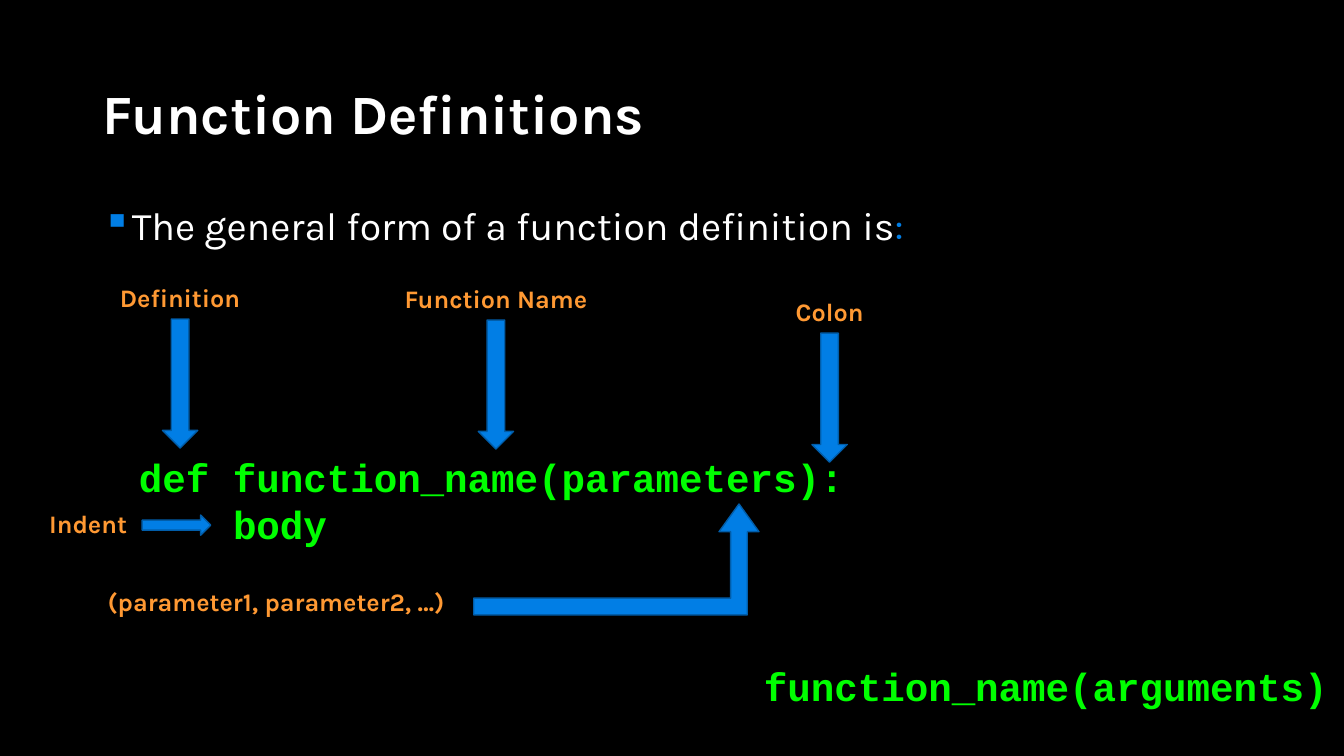
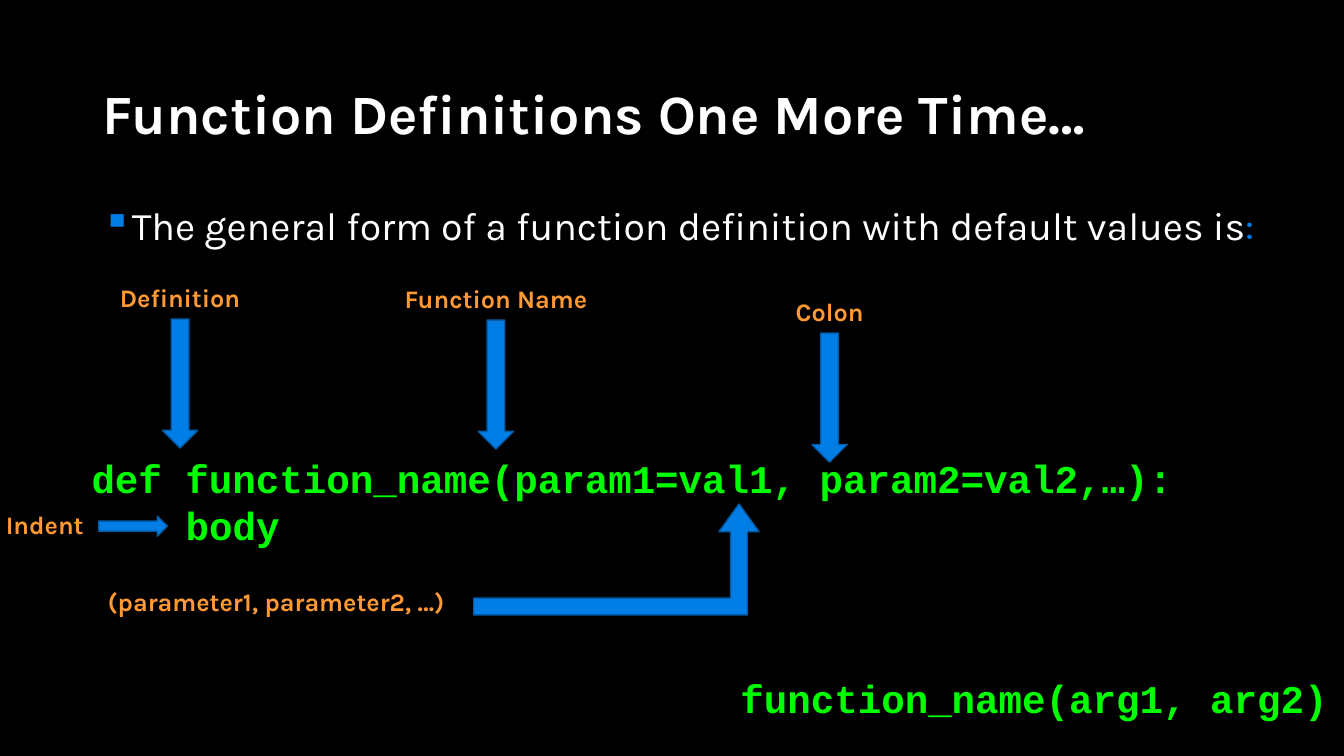
from collections import namedtuple

from lxml.etree import SubElement
from pptx import Presentation
from pptx.dml.color import RGBColor
from pptx.enum.shapes import MSO_SHAPE as Preset
from pptx.enum.text import MSO_ANCHOR as Anchor, PP_ALIGN as Align
from pptx.oxml.ns import qn
from pptx.util import Inches, Pt

WIDTH, HEIGHT = Inches(13.33), Inches(7.5)
COLUMNS, ROWS = 40, 30
BLACK, WHITE, BLUE, EDGE = "000000", "FFFFFF", "017EE5", "015DA9"
ORANGE, GREEN = "FF9933", "00FF00"
CODE_SIZE = 28
CODE_INDENT = Pt(4 * 0.6 * CODE_SIZE)

Style = namedtuple("Style", "font size color bold")
TITLE = Style("Karla", 39.6, WHITE, True)
BODY = Style("Karla", 28, WHITE, False)
LABEL = Style("Karla", 18, ORANGE, True)
CODE = Style("Courier New", CODE_SIZE, GREEN, True)

Box = namedtuple("Box", "col row cols rows")
Content = namedtuple("Content", "title lead signature code indent call call_row")

MARKERS = [
    ("Definition", Box(1.86, 11, 7, 6.78)),
    ("Function Name", Box(11.26, 11.04, 7, 6.78)),
    ("Colon", Box(21.19, 11.56, 7, 6.78)),
]
CONTENTS = [
    Content(
        "Function Definitions",
        "The general form of a function definition is",
        "def function_name(parameters):",
        Box(3.84, 17.8, 36, 4.16),
        Box(1.17, 19.96, 5.1, 1.6),
        "function_name(arguments)",
        26.08,
    ),
    Content(
        "Function Definitions One More Time…",
        "The general form of a function definition with default values is",
        "def function_name(param1=val1, param2=val2,…):",
        Box(2.43, 17.84, 36, 4.16),
        Box(-0.12, 20, 5.1, 1.6),
        "function_name(arg1, arg2)",
        26.56,
    ),
]


def rgb(color):
    """Turn a hex string into a colour."""
    return RGBColor.from_string(color)


def place(box):
    """Turn a box on the grid into left, top, width and height."""
    across, down = WIDTH / COLUMNS, HEIGHT / ROWS
    return (int(box.col * across), int(box.row * down),
            int(box.cols * across), int(box.rows * down))


def inside(box, col, row, cols, rows):
    """Return a box offset from the corner of another."""
    return Box(box.col + col, box.row + row, cols, rows)


def add_run(paragraph, text, style):
    """Add one styled run."""
    run = paragraph.add_run()
    run.text = text
    run.font.name = style.font
    run.font.size = Pt(style.size)
    run.font.bold = style.bold
    run.font.color.rgb = rgb(style.color)


def add_text(slide, box, text, style, align=Align.LEFT):
    """Add a wrapping line of text and return its frame."""
    frame = slide.shapes.add_textbox(*place(box)).text_frame
    frame.word_wrap = True
    frame.paragraphs[0].alignment = align
    add_run(frame.paragraphs[0], text, style)
    return frame


def add_arrow(slide, preset, box):
    """Add a blue block arrow."""
    arrow = slide.shapes.add_shape(preset, *place(box))
    arrow.shadow.inherit = False
    arrow.fill.solid()
    arrow.fill.fore_color.rgb = rgb(BLUE)
    arrow.line.color.rgb = rgb(EDGE)
    arrow.line.width = Pt(1)
    return arrow


def add_title(slide, box, text):
    """Add the slide title."""
    frame = add_text(slide, box, text, TITLE)
    frame.vertical_anchor = Anchor.MIDDLE
    frame.paragraphs[0].line_spacing = 0.9


def add_lead(slide, box, text):
    """Add the bulleted lead with its blue colon."""
    lead = add_text(slide, box, text, BODY).paragraphs[0]
    add_run(lead, ":", BODY._replace(color=BLUE))
    lead.line_spacing = 0.9
    lead.space_before = Pt(10)
    properties = lead._p.get_or_add_pPr()
    properties.set("marL", str(Inches(0.25)))
    properties.set("indent", str(-Inches(0.25)))
    bullet_color = SubElement(properties, qn("a:buClr"))
    SubElement(bullet_color, qn("a:srgbClr"), val=BLUE)
    SubElement(properties, qn("a:buChar"), char="▪")


def add_code(slide, box, signature):
    """Add the signature and its indented body."""
    body = add_text(slide, box, signature, CODE).add_paragraph()
    body._p.get_or_add_pPr().set("marL", str(CODE_INDENT))
    add_run(body, "body", CODE)


def add_marker(slide, box, text):
    """Add a label with an arrow pointing down below it."""
    label_rows, arrow_cols = 1.66, 1.05
    add_text(slide, inside(box, 0, 0, box.cols, label_rows), text, LABEL, Align.CENTER)
    add_arrow(slide, Preset.DOWN_ARROW,
              inside(box, (box.cols - arrow_cols) / 2, label_rows,
                     arrow_cols, box.rows - label_rows))


def add_indent(slide, box):
    """Add the indent label with an arrow to its right."""
    label_cols, arrow_rows = 3.06, 0.8
    add_text(slide, inside(box, 0, 0, label_cols, box.rows), "Indent", LABEL)
    add_arrow(slide, Preset.RIGHT_ARROW,
              inside(box, label_cols, 0.48, box.cols - label_cols, arrow_rows))


def add_parameters(slide, box):
    """Add the parameter list with an arrow bending up to the signature."""
    label_cols = 11.19
    add_text(slide, inside(box, 0, 3.08, label_cols, 1.6),
             "(parameter1, parameter2, …)", LABEL)
    arrow = add_arrow(slide, Preset.BENT_UP_ARROW,
                      inside(box, label_cols, 0, box.cols - label_cols, 4.4))
    for index, share in enumerate((0.15, 0.18, 0.25)):
        arrow.adjustments[index] = share


def add_definition_slide(deck, content):
    """Add one slide that explains a function definition."""
    slide = deck.slides.add_slide(deck.slide_layouts[6])
    slide.background.fill.solid()
    slide.background.fill.fore_color.rgb = rgb(BLACK)
    add_title(slide, Box(2.76, 3.2, 34.5, 2.88), content.title)
    add_lead(slide, Box(2.76, 8, 35.55, 2.4), content.lead)
    add_code(slide, content.code, content.signature)
    add_indent(slide, content.indent)
    for text, box in MARKERS:
        add_marker(slide, box, text)
    add_parameters(slide, Box(2.91, 20, 19.68, 4.68))
    add_text(slide, Box(21.54, content.call_row, 18.27, 2.28),
             content.call, CODE, Align.RIGHT)


def main():
    """Build and save the deck."""
    deck = Presentation()
    deck.slide_width, deck.slide_height = WIDTH, HEIGHT
    for content in CONTENTS:
        add_definition_slide(deck, content)
    deck.save("out.pptx")


if __name__ == "__main__":
    main()
